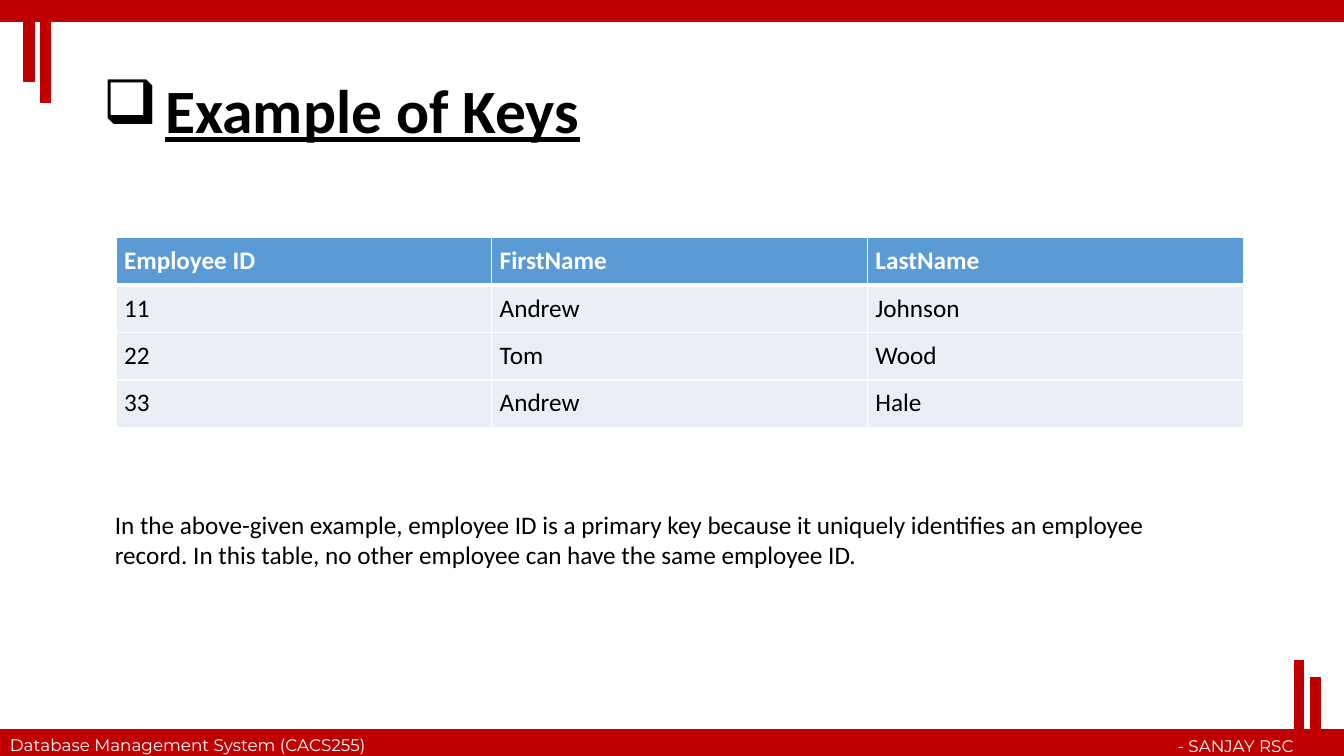
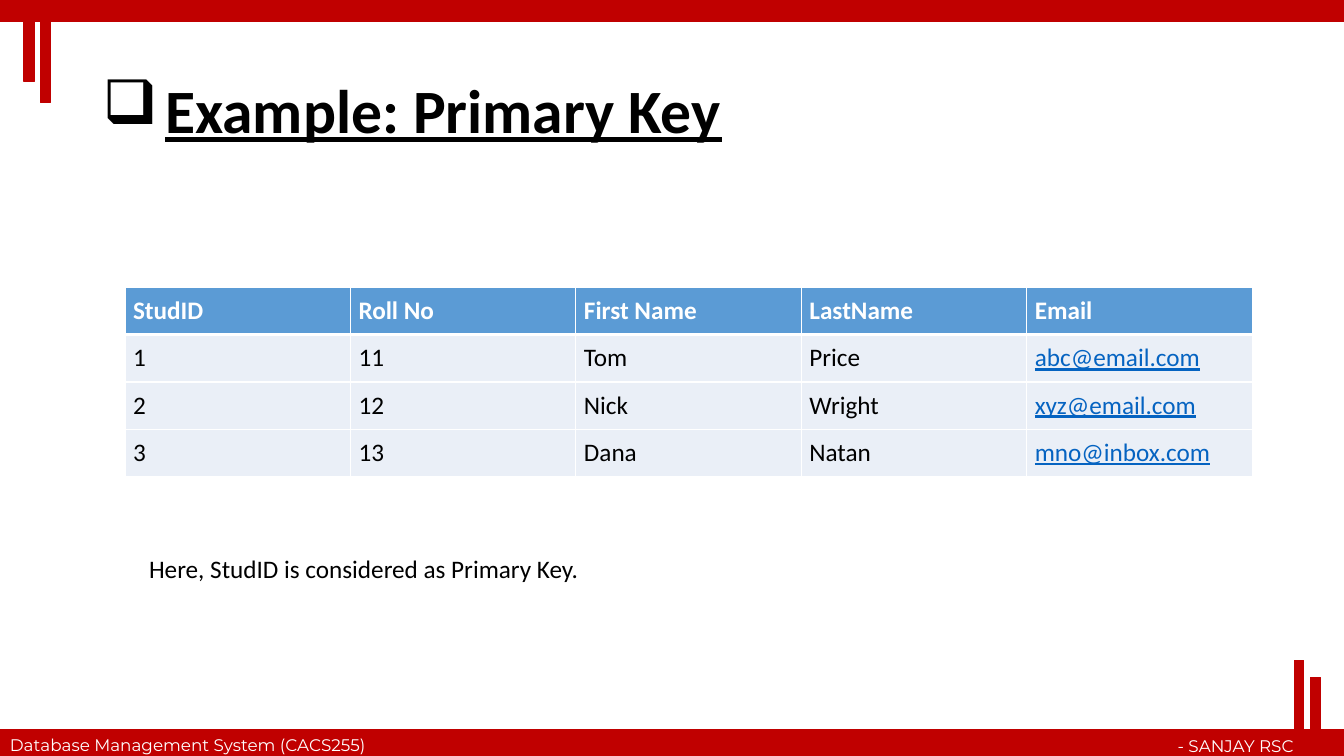
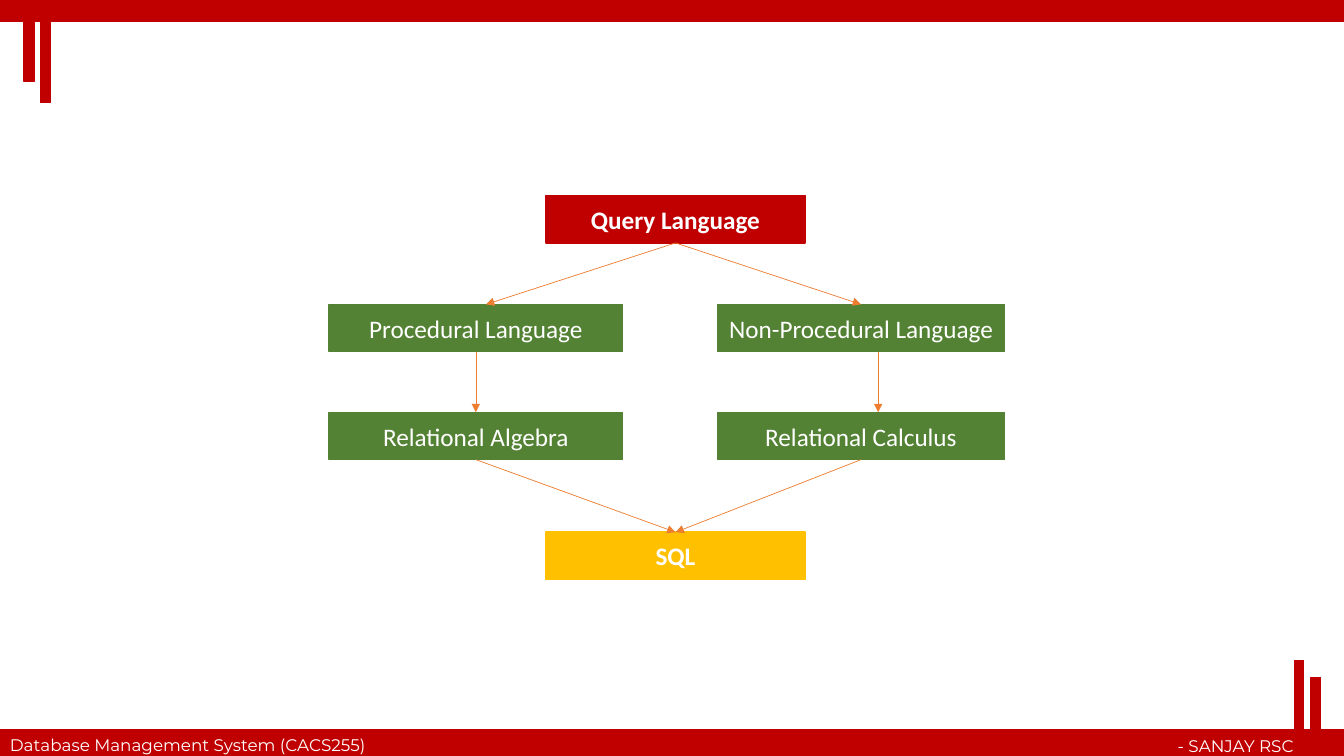
from dataclasses import dataclass

from lxml import etree
from pptx import Presentation
from pptx.dml.color import RGBColor
from pptx.enum.shapes import MSO_CONNECTOR, MSO_SHAPE
from pptx.enum.text import MSO_ANCHOR, PP_ALIGN
from pptx.oxml.ns import qn
from pptx.util import Inches, Pt

RECTANGLE = MSO_SHAPE.RECTANGLE
STRAIGHT = MSO_CONNECTOR.STRAIGHT
TOP, MIDDLE = MSO_ANCHOR.TOP, MSO_ANCHOR.MIDDLE
LEFT, CENTER, RIGHT = PP_ALIGN.LEFT, PP_ALIGN.CENTER, PP_ALIGN.RIGHT


@dataclass(frozen=True)
class Theme:
    red: str = "C00000"
    green: str = "548235"
    amber: str = "FFC000"
    orange: str = "ED7D31"
    header: str = "5B9BD5"
    row: str = "EAEFF7"
    link: str = "0563C1"
    white: str = "FFFFFF"
    black: str = "000000"
    font: str = "Calibri"
    footer_font: str = "Montserrat"
    title_size: int = 44
    body_size: int = 18
    footer_size: int = 12


THEME = Theme()
WIDTH, HEIGHT = 13.33, 7.5

BARS = [
    (0, 7.24, WIDTH, 0.26),
    (0, 0, WIDTH, 0.21),
    (0.4, 0.01, 0.1, 1.01),
    (0.24, 0.03, 0.1, 0.78),
    (12.84, 6.55, 0.09, 0.94),
    (13, 6.72, 0.1, 0.78),
]
FOOTERS = [
    ("Database Management System (CACS255)", (0, 7.24, 4.16, 0.3), LEFT),
    ("- SANJAY RSC", (9.7, 7.25, 3.23, 0.3), RIGHT),
]
TITLE_AREA = (0.92, 0.4, 11.5, 1.45)
TITLE_INDENT = 0.62
TABLE_WIDTH, ROW_HEIGHT, CELL_MARGIN = 11.18, 0.47, 0.08

TABLE_PAGES = [
    {
        "title": "Example of Keys",
        "table_at": (1.15, 2.36),
        "rows": [
            ("Employee ID", "FirstName", "LastName"),
            ("11", "Andrew", "Johnson"),
            ("22", "Tom", "Wood"),
            ("33", "Andrew", "Hale"),
        ],
        "note": "In the above-given example, employee ID is a primary key because it "
                "uniquely identifies an employee record. In this table, no other "
                "employee can have the same employee ID.",
        "note_area": (1.04, 5, 10.92, 0.71),
    },
    {
        "title": "Example: Primary Key",
        "table_at": (1.24, 2.85),
        "rows": [
            ("StudID", "Roll No", "First Name", "LastName", "Email"),
            ("1", "11", "Tom", "Price", "abc@email.com"),
            ("2", "12", "Nick", "Wright", "xyz@email.com"),
            ("3", "13", "Dana", "Natan", "mno@inbox.com"),
        ],
        "note": "Here, StudID is considered as Primary Key.",
        "note_area": (1.38, 5.44, 10.78, 0.4),
    },
]

COLUMNS = {"left": (4.72, 2.91), "middle": (6.7, 2.57), "right": (8.54, 2.85)}
LEVELS = [1.94, 3.02, 4.09, 5.28]
NODE_HEIGHT = 0.47
NODES = {
    "Query Language": ("middle", 0, THEME.red, True),
    "Procedural Language": ("left", 1, THEME.green, False),
    "Non-Procedural Language": ("right", 1, THEME.green, False),
    "Relational Algebra": ("left", 2, THEME.green, False),
    "Relational Calculus": ("right", 2, THEME.green, False),
    "SQL": ("middle", 3, THEME.amber, True),
}
ARROWS = [
    ("Query Language", "Procedural Language", 0, 0.1),
    ("Query Language", "Non-Procedural Language", 0, 0),
    ("Procedural Language", "Relational Algebra", 0, 0),
    ("Non-Procedural Language", "Relational Calculus", 0.17, 0.17),
    ("Relational Calculus", "SQL", 0, 0),
    ("Relational Algebra", "SQL", 0, 0),
]


def inches(values):
    return [Inches(value) for value in values]


def color(value):
    return RGBColor.from_string(value)


def write(frame, text, fill, size=THEME.body_size, font=THEME.font,
          bold=False, underline=False, align=LEFT, anchor=TOP):
    frame.word_wrap = True
    frame.vertical_anchor = anchor
    para = frame.paragraphs[0]
    para.text = text
    para.alignment = align
    span = para.runs[0].font
    span.name, span.size = font, Pt(size)
    span.bold, span.underline = bold, underline
    span.color.rgb = color(fill)
    return para


def add_text(page, area, text, fill, **style):
    box = page.shapes.add_textbox(*inches(area))
    return write(box.text_frame, text, fill, **style)


def add_box(page, area, fill):
    box = page.shapes.add_shape(RECTANGLE, *inches(area))
    box.shadow.inherit = False
    box.fill.solid()
    box.fill.fore_color.rgb = color(fill)
    box.line.color.rgb = color(fill)
    box.line.width = Pt(1)
    return box


def add_page(deck):
    page = deck.slides.add_slide(deck.slide_layouts[6])
    for area in BARS:
        add_box(page, area, THEME.red)
    for text, area, align in FOOTERS:
        add_text(page, area, text, THEME.white, size=THEME.footer_size,
                 font=THEME.footer_font, align=align)
    return page


def add_title(page, text):
    para = add_text(page, TITLE_AREA, text, THEME.black, size=THEME.title_size,
                    bold=True, underline=True, anchor=MIDDLE)
    para.line_spacing = 0.9
    properties = para._p.get_or_add_pPr()
    properties.set("marL", str(Inches(TITLE_INDENT)))
    properties.set("indent", str(-Inches(TITLE_INDENT)))
    etree.SubElement(properties, qn("a:buChar"), char="❑")


def set_borders(cell, widths):
    properties = cell._tc.get_or_add_tcPr()
    for side, width in widths.items():
        line = etree.SubElement(properties, qn(f"a:ln{side}"), w=str(Pt(width)))
        fill = etree.SubElement(line, qn("a:solidFill"))
        etree.SubElement(fill, qn("a:srgbClr"), val=THEME.white)


def add_table(page, position, rows):
    size = (TABLE_WIDTH, ROW_HEIGHT * len(rows))
    table = page.shapes.add_table(len(rows), len(rows[0]),
                                  *inches(position + size)).table
    table.horz_banding = False
    for column in table.columns:
        column.width = Inches(TABLE_WIDTH / len(rows[0]))
    for row_index, row in enumerate(rows):
        is_header = row_index == 0
        for column_index, text in enumerate(row):
            cell = table.cell(row_index, column_index)
            is_link = "@" in text
            fill = THEME.white if is_header else THEME.link if is_link else THEME.black
            write(cell.text_frame, text, fill, bold=is_header, underline=is_link)
            cell.margin_left = cell.margin_right = Inches(CELL_MARGIN)
            cell.margin_top = cell.margin_bottom = Inches(CELL_MARGIN)
            set_borders(cell, {"L": 1, "R": 1, "T": 3 if row_index == 1 else 1,
                               "B": 3 if is_header else 1})
            cell.fill.solid()
            cell.fill.fore_color.rgb = color(THEME.header if is_header else THEME.row)


def add_arrow(page, start, end):
    arrow = page.shapes.add_connector(STRAIGHT, *inches(start + end))
    arrow.line.color.rgb = color(THEME.orange)
    arrow.line.width = Pt(0.5)
    etree.SubElement(arrow.line._get_or_add_ln(), qn("a:tailEnd"), type="triangle")
    etree.SubElement(arrow._element.spPr, qn("a:effectLst"))


def add_diagram(page):
    for text, (column, level, fill, bold) in NODES.items():
        center, width = COLUMNS[column]
        box = add_box(page, (center - width / 2, LEVELS[level], width, NODE_HEIGHT), fill)
        write(box.text_frame, text, THEME.white, bold=bold, align=CENTER, anchor=MIDDLE)
    for source, target, start_shift, end_shift in ARROWS:
        source_column, source_level = NODES[source][:2]
        target_column, target_level = NODES[target][:2]
        add_arrow(page,
                  (COLUMNS[source_column][0] + start_shift,
                   LEVELS[source_level] + NODE_HEIGHT),
                  (COLUMNS[target_column][0] + end_shift, LEVELS[target_level]))


def main():
    deck = Presentation()
    deck.slide_width, deck.slide_height = inches((WIDTH, HEIGHT))
    for content in TABLE_PAGES:
        page = add_page(deck)
        add_title(page, content["title"])
        add_table(page, content["table_at"], content["rows"])
        add_text(page, content["note_area"], content["note"], THEME.black)
    add_diagram(add_page(deck))
    deck.save("out.pptx")


if __name__ == "__main__":
    main()
